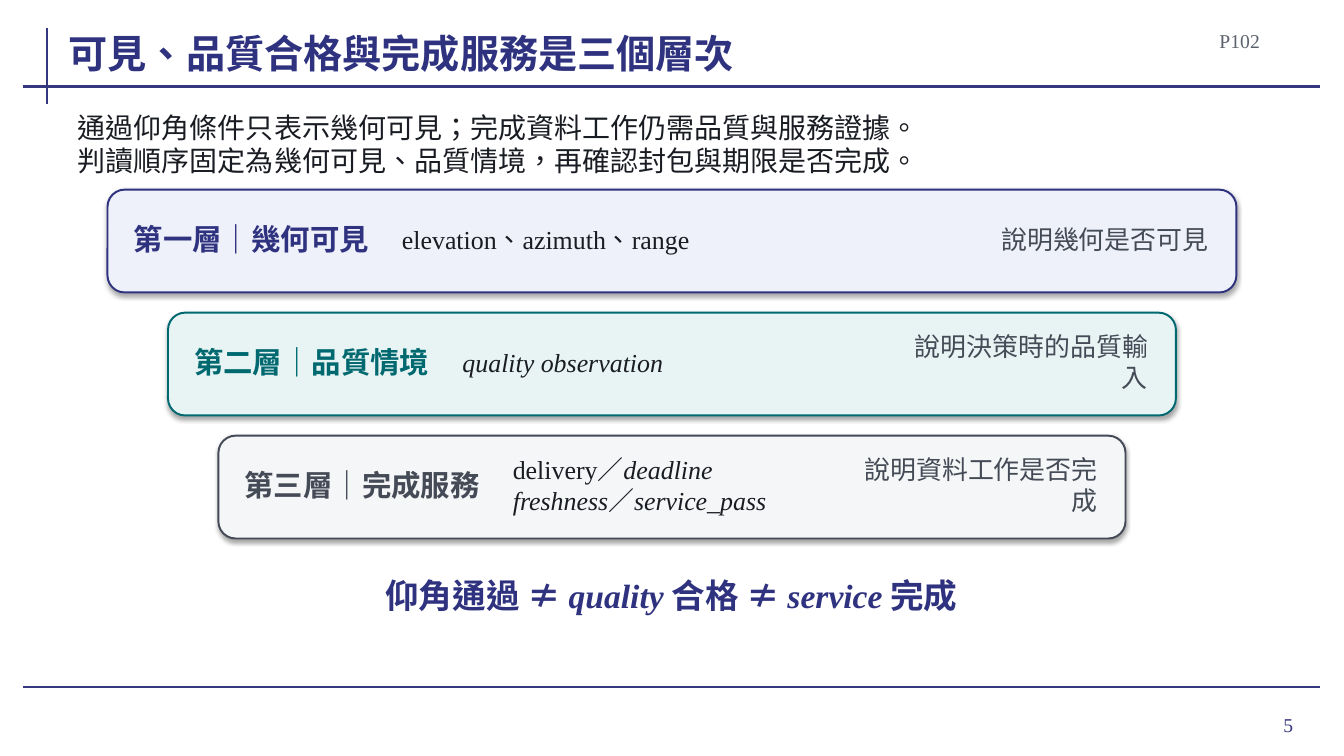
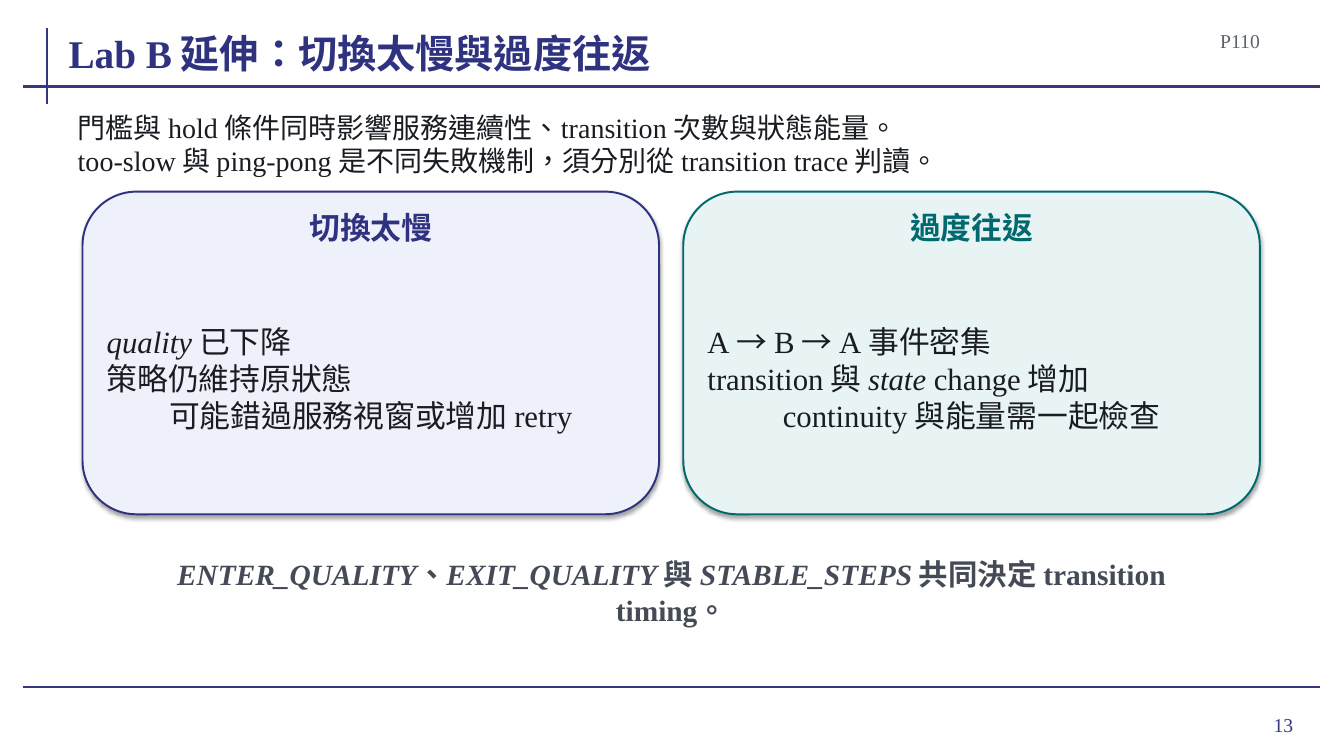
from lxml.etree import SubElement as Sub
from pptx import Presentation
from pptx.dml.color import RGBColor as RGB
from pptx.enum.shapes import MSO_CONNECTOR as Conn, MSO_SHAPE as Shape
from pptx.enum.text import MSO_ANCHOR as Anchor, MSO_AUTO_SIZE as Auto, PP_ALIGN as Align
from pptx.oxml.ns import qn
from pptx.util import Cm, Pt

# Content: "|" switches between Chinese and Latin type, "*" opens an italic run
LAYERS = {
    "title": "可見、品質合格與完成服務是三個層次",
    "code": "P102", "page": "5",
    "lead": ["通過仰角條件只表示幾何可見；完成資料工作仍需品質與服務證據。",
             "判讀順序固定為幾何可見、品質情境，再確認封包與期限是否完成。"],
    "rows": [
        ("第一層｜幾何可見", ["|elevation|、|azimuth|、|range"], "說明幾何是否可見", 28.45, "navy"),
        ("第二層｜品質情境", ["|*quality observation"], "說明決策時的品質輸入", 25.4, "teal"),
        ("第三層｜完成服務", ["|delivery|／|*deadline", "|*freshness|／|*service_pass"],
         "說明資料工作是否完成", 22.86, "slate"),
    ],
    "close": "仰角通過 ≠ |*quality| 合格 ≠ |*service| 完成",
}
CARDS = {
    "title": "|Lab B| 延伸：切換太慢與過度往返",
    "code": "P110", "page": "13",
    "lead": ["門檻與 |hold| 條件同時影響服務連續性、|transition| 次數與狀態能量。",
             "|too-slow| 與 |ping-pong| 是不同失敗機制，須分別從 |transition trace| 判讀。"],
    "cards": [
        ("切換太慢", ["|*quality| 已下降", "策略仍維持原狀態", "可能錯過服務視窗或增加 |retry"], "navy"),
        ("過度往返", ["|A| → |B| → |A| 事件密集", "|transition| 與 |*state ||change| 增加",
                  "|continuity| 與能量需一起檢查"], "teal"),
    ],
    "close": "|*ENTER_QUALITY|、|*EXIT_QUALITY| 與 |*STABLE_STEPS| 共同決定 |transition timing|。",
}

# Shared style
HUE = {"rule": "35377F", "navy": "2F327F", "teal": "006970", "slate": "444B56",
       "ink": "191C22", "gray": "5C626C"}
TINT = {"navy": "EEF1F9", "teal": "E8F4F4", "slate": "F5F6F8"}
HAN, LATIN = "Noto Sans CJK SC", "Times New Roman"
WIDE, HIGH = 33.87, 19.05
RULES = [(1.19, 0.71, 1.19, 2.62), (0.58, 2.18, 33.27, 2.18), (0.58, 17.32, 33.27, 17.32)]


def cms(*nums):
    return [Cm(n) for n in nums]


def add_runs(para, line, size, hue, bold):
    for i, part in enumerate(line.split("|")):
        if not part:
            continue
        run = para.add_run()
        run.text = part.lstrip("*")
        font = run.font
        font.name = LATIN if i % 2 else HAN
        font.size, font.bold, font.italic = Pt(size), bold, part.startswith("*")
        font.color.rgb = RGB.from_string(HUE[hue])
        props = run._r.get_or_add_rPr()
        props.set("lang", "en-US" if i % 2 else "zh-TW")
        latin = props.find(qn("a:latin"))
        east = props.makeelement(qn("a:ea"), {"typeface": HAN})
        latin.addnext(east)


def fill(frame, lines, size, hue, bold=False, aligns=(Align.LEFT,), pad=0.1,
         anchor=Anchor.MIDDLE, auto=Auto.SHAPE_TO_FIT_TEXT, wrap=True):
    frame.word_wrap, frame.auto_size, frame.vertical_anchor = wrap, auto, anchor
    frame.margin_left = frame.margin_right = Cm(pad)
    frame.margin_top = frame.margin_bottom = Cm(pad)
    for i, line in enumerate(lines):
        para = frame.add_paragraph() if i else frame.paragraphs[0]
        para.alignment = aligns[min(i, len(aligns) - 1)]
        add_runs(para, line, size, hue, bold)


def add_text(slide, spot, lines, size, hue, **style):
    fill(slide.shapes.add_textbox(*cms(*spot)).text_frame, lines, size, hue, **style)


def add_panel(slide, spot, hue):
    panel = slide.shapes.add_shape(Shape.ROUNDED_RECTANGLE, *cms(*spot))
    panel.shadow.inherit = False
    panel.fill.solid()
    panel.fill.fore_color.rgb = RGB.from_string(TINT[hue])
    panel.line.color.rgb = RGB.from_string(HUE[hue])
    panel.line.width = Pt(1.4)
    # Soft shadow straight below
    glow = Sub(panel._element.spPr.find(qn("a:effectLst")), qn("a:outerShdw"),
               blurRad=str(Pt(3.1)), dist=str(Pt(1.8)), dir="5400000", rotWithShape="0")
    Sub(Sub(glow, qn("a:srgbClr"), val="000000"), qn("a:alpha"), val="35000")


def add_rules(slide, layout):
    # Drawn once, then kept on the layout for every slide
    for ends in RULES:
        rule = slide.shapes.add_connector(Conn.STRAIGHT, *cms(*ends))
        rule.line.color.rgb = RGB.from_string(HUE["rule"])
        rule.line.width = Pt(1.5)
        Sub(rule._element.spPr, qn("a:effectLst"))
        layout.shapes.element.append(rule._element)


def add_slide(deck, data):
    slide = deck.slides.add_slide(deck.slide_layouts[5])
    title = slide.shapes.title
    title.left, title.top, title.width, title.height = cms(1.73, 0.46, 27.69, 1.47)
    fill(title.text_frame, [data["title"]], 28, "navy", bold=True, pad=0,
         anchor=Anchor.BOTTOM, auto=Auto.NONE, wrap=False)
    right = (Align.RIGHT,)
    add_text(slide, (30.38, 17.6, 2.46, 1.32), ["|" + data["page"]], 14, "rule",
             aligns=right, pad=0.25, auto=Auto.NONE)
    add_text(slide, (29.77, 0.69, 2.08, 0.66), ["|" + data["code"]], 14, "gray", aligns=right)
    add_text(slide, (1.93, 2.84, 29.92, 1.57), data["lead"], 20, "ink", pad=0.03)
    return slide


def draw_layers(slide, data):
    top, high, step = 4.78, 2.59, 3.1
    for i, (name, terms, note, wide, hue) in enumerate(data["rows"]):
        x, y = (WIDE - wide) / 2, top + i * step
        add_panel(slide, (x, y, wide, high), hue)
        y += 0.25
        add_text(slide, (x + 0.56, y, 6.65, 1.98), [name], 21, hue, bold=True)
        add_text(slide, (x + 7.32, y, 8.69, 1.98), terms, 18.5, "ink")
        add_text(slide, (x + wide - 7.32, y, 6.71, 1.98), [note], 18.5, "slate",
                 aligns=(Align.RIGHT,))
    add_text(slide, (3.61, 14.48, 26.62, 1.02), [data["close"]], 24, "navy",
             bold=True, aligns=(Align.CENTER,))


def draw_cards(slide, data):
    left, top, wide, high, gap = 2.08, 4.83, 14.53, 8.13, 0.61
    for i, (name, lines, hue) in enumerate(data["cards"]):
        x = left + i * (wide + gap)
        add_panel(slide, (x, top, wide, high), hue)
        x += 0.51
        add_text(slide, (x, top + 0.41, 13.51, 0.97), [name], 22, hue, bold=True,
                 aligns=(Align.CENTER,))
        add_text(slide, (x, top + 1.63, 13.51, 6.15), lines, 22, "ink",
                 aligns=(Align.LEFT, Align.LEFT, Align.CENTER))
    add_text(slide, (3, 13.92, 27.84, 1.17), [data["close"]], 21, "slate", bold=True,
             aligns=(Align.CENTER,), anchor=Anchor.TOP)


def main():
    deck = Presentation()
    deck.slide_width, deck.slide_height = cms(WIDE, HIGH)
    first = add_slide(deck, LAYERS)
    add_rules(first, deck.slide_layouts[5])
    draw_layers(first, LAYERS)
    draw_cards(add_slide(deck, CARDS), CARDS)
    deck.save("out.pptx")


if __name__ == "__main__":
    main()
